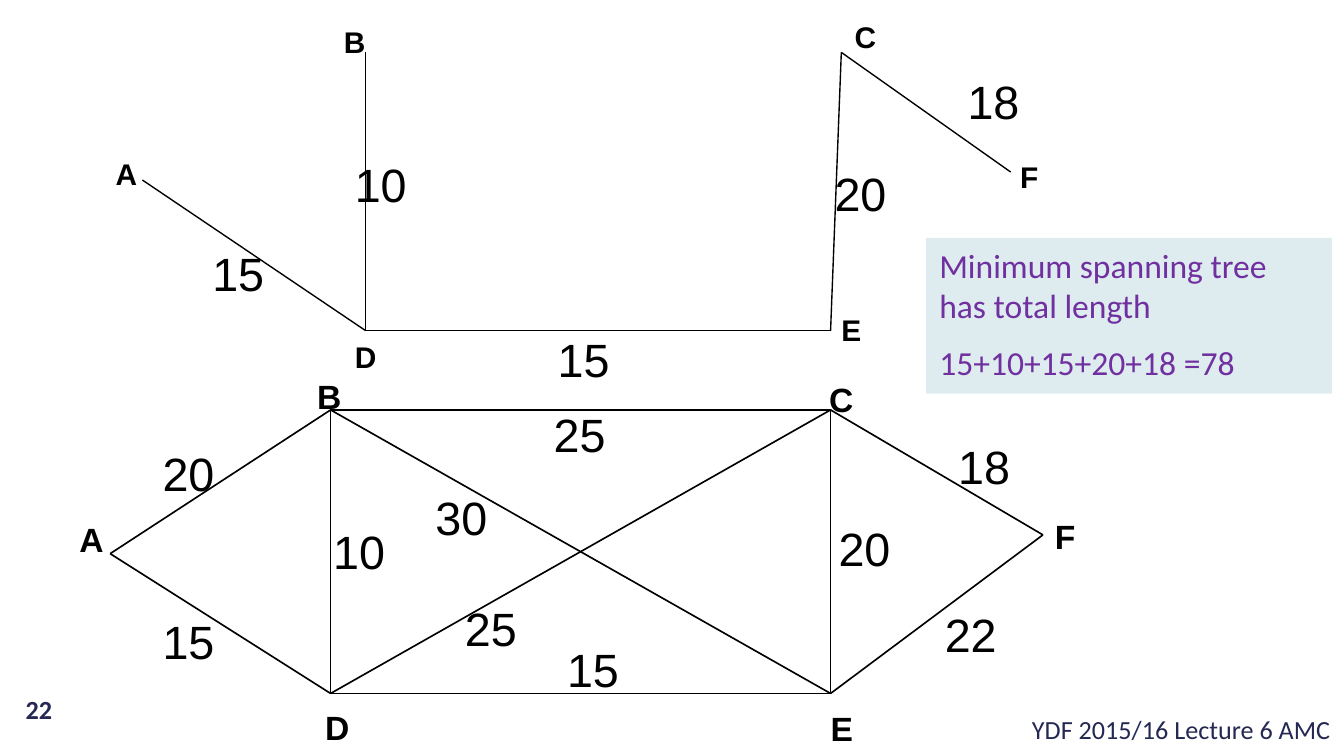
from pptx import Presentation
from pptx.dml.color import RGBColor
from pptx.enum.shapes import MSO_CONNECTOR, MSO_SHAPE
from pptx.enum.text import MSO_ANCHOR, PP_ALIGN
from pptx.oxml.ns import qn
from pptx.util import Inches, Pt
from lxml import etree

STRAIGHT = MSO_CONNECTOR.STRAIGHT
RECTANGLE = MSO_SHAPE.RECTANGLE
LEFT, CENTER, RIGHT = PP_ALIGN.LEFT, PP_ALIGN.CENTER, PP_ALIGN.RIGHT
TOP, MIDDLE = MSO_ANCHOR.TOP, MSO_ANCHOR.MIDDLE
BLACK, WHITE, NAVY, PURPLE, PALE = "000000", "FFFFFF", "242852", "7030A0", "DEECEF"

# Positions are relative to the top left corner of each graph's box.
TREE = {
    "nodes": {"A": (0.2, 1.2), "B": (1.86, 0.25), "C": (5.4, 0.25),
              "D": (1.86, 2.32), "E": (5.32, 2.32), "F": (6.66, 1.14)},
    "names": {"A": (0, 1.02), "B": (1.7, 0.04), "C": (5.5, 0),
              "D": (1.78, 2.38), "E": (5.4, 2.18), "F": (6.73, 1.04)},
    "edges": ["BD", "AD", "DE", "CF", "CE"],
    "weights": [("15", 0.72, 1.68), ("10", 1.78, 1.02), ("18", 6.34, 0.4),
                ("15", 3.29, 2.32), ("20", 5.35, 1.09)],
    "name_size": 16, "name_box": (0.16, 0.27), "line_width": 0.75,
}
NETWORK = {
    "nodes": {"A": (0.23, 1.32), "B": (1.87, 0.25), "C": (5.59, 0.25),
              "D": (1.87, 2.36), "E": (5.59, 2.36), "F": (7.17, 1.18)},
    "names": {"A": (0, 1.06), "B": (1.77, 0), "C": (5.58, 0.02),
              "D": (1.83, 2.46), "E": (5.59, 2.47), "F": (7.26, 1.04)},
    "frame": "BE",
    "edges": ["BA", "AD", "CF", "FE", "BE", "CD"],
    "weights": [("20", 0.62, 0.51), ("15", 0.62, 1.76), ("10", 1.89, 1.09),
                ("25", 3.53, 0.22), ("18", 6.54, 0.46), ("22", 6.44, 1.71),
                ("15", 3.63, 1.97), ("20", 5.65, 1.07), ("25", 2.87, 1.66),
                ("30", 2.65, 0.84)],
    "name_size": 18, "name_box": (0.2, 0.3), "line_width": 0.88,
}


def rgb(color):
    return RGBColor.from_string(color)


def write(shape, lines, size, color, font="Calibri", bold=False, align=LEFT,
          anchor=TOP, inset=None, gap=0):
    """Fill a shape with paragraphs; gap is the space between them in points."""
    tf = shape.text_frame
    tf.word_wrap = True
    tf.vertical_anchor = anchor
    if inset is not None:
        for side in ("left", "top", "right", "bottom"):
            setattr(tf, f"margin_{side}", Inches(inset))
    for i, line in enumerate(lines):
        p = tf.paragraphs[0] if i == 0 else tf.add_paragraph()
        p.alignment = align
        if i:
            p.space_before = Pt(gap)
        r = p.add_run()
        r.text = line
        for name, value in {"name": font, "size": Pt(size), "bold": bold}.items():
            setattr(r.font, name, value)
        r.font.color.rgb = rgb(color)


def add_text(shapes, box, text, size, color, **style):
    tb = shapes.add_textbox(*map(Inches, box))
    write(tb, [text], size, color, **style)


def add_rectangle(shapes, box, fill):
    sp = shapes.add_shape(RECTANGLE, *map(Inches, box))
    sp.shadow.inherit = False
    sp.fill.solid()
    sp.fill.fore_color.rgb = rgb(fill)
    return sp


def set_line(shape, width):
    shape.line.color.rgb = rgb(BLACK)
    shape.line.width = Pt(width)


def add_edge(shapes, start, end, width):
    line = shapes.add_connector(STRAIGHT, *map(Inches, start + end))
    set_line(line, width)
    etree.SubElement(line._element.spPr, qn("a:effectLst"))


def add_graph(shapes, left, top, graph):
    """Draw edges, node names and weights; a frame joins two opposite corner nodes."""
    nodes = {n: (left + x, top + y) for n, (x, y) in graph["nodes"].items()}
    width = graph["line_width"]
    if "frame" in graph:
        (x1, y1), (x2, y2) = (nodes[n] for n in graph["frame"])
        set_line(add_rectangle(shapes, (x1, y1, x2 - x1, y2 - y1), WHITE), width)
    for start, end in graph["edges"]:
        add_edge(shapes, nodes[start], nodes[end], width)
    for name, (x, y) in graph["names"].items():
        add_text(shapes, (left + x, top + y, *graph["name_box"]), name,
                 graph["name_size"], BLACK, font="Arial", bold=True, inset=0)
    for weight, x, y in graph["weights"]:
        add_text(shapes, (left + x, top + y, 0.4, 0.42), weight, 25, BLACK,
                 font="Arial", inset=0)


def add_total(shapes, box):
    sp = add_rectangle(shapes, box, PALE)
    sp.line.fill.background()
    write(sp, ["Minimum spanning tree has total length", "15+10+15+20+18 =78"],
          18, PURPLE, gap=9)


def add_footer(shapes):
    add_text(shapes, (6.83, 5.23, 3.17, 0.39), "YDF 2015/16 Lecture 6 AMC", 14, NAVY,
             align=RIGHT, anchor=MIDDLE)
    add_text(shapes, (0, 5.12, 0.58, 0.31), "22", 14, NAVY, bold=True,
             align=CENTER, anchor=MIDDLE)


def main():
    prs = Presentation()
    prs.slide_width = Inches(10)
    prs.slide_height = prs.slide_width * 9 // 16
    s = prs.slides.add_slide(prs.slide_layouts[6])
    add_graph(s.shapes.add_group_shape().shapes, 0.59, 2.8, NETWORK)
    add_footer(s.shapes)
    add_graph(s.shapes, 0.86, 0.14, TREE)
    add_total(s.shapes, (6.89, 1.77, 3.02, 1.16))
    prs.save("out.pptx")


if __name__ == "__main__":
    main()
